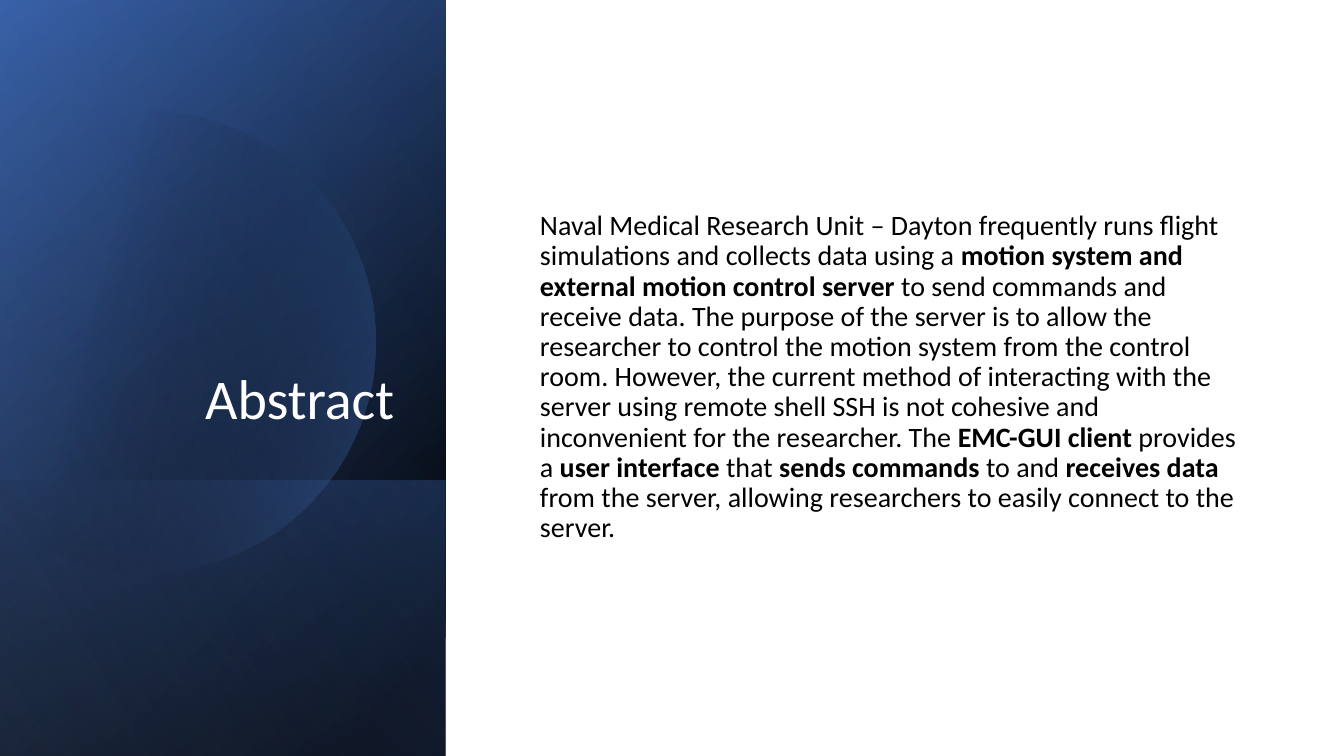
import math
from lxml import etree
from pptx import Presentation
from pptx.dml.color import RGBColor
from pptx.enum.shapes import MSO_SHAPE
from pptx.enum.text import MSO_ANCHOR, PP_ALIGN
from pptx.oxml.ns import qn
from pptx.util import Inches, Pt

RECT = MSO_SHAPE.RECTANGLE
BOTTOM, MIDDLE = MSO_ANCHOR.BOTTOM, MSO_ANCHOR.MIDDLE
LEFT, RIGHT = PP_ALIGN.LEFT, PP_ALIGN.RIGHT
FONT = "Calibri"
WIDTH, HEIGHT = 13.33, 7.5
COLORS = {
    "white": "FFFFFF",
    "black": "000000",
    "navy": "2F5597",
    "blue": "4472C4",
    "pale": "8FAADC",
}
ABSTRACT = [
    ("Naval Medical Research Unit – Dayton frequently runs flight simulations "
     "and collects data using a ", False),
    ("motion system and external motion control server ", True),
    ("to send commands and receive data. The purpose of the server is to allow "
     "the researcher to control the motion system from the control room. However, "
     "the current method of interacting with the server using remote shell SSH is "
     "not cohesive and inconvenient for the researcher. The ", False),
    ("EMC-GUI client ", True),
    ("provides a ", False),
    ("user interface ", True),
    ("that ", False),
    ("sends commands ", True),
    ("to and ", False),
    ("receives data ", True),
    ("from the server, allowing researchers to easily connect to the server.", False),
]


def rgb(name):
    return RGBColor.from_string(COLORS[name])


def finish(sp):
    sp.shadow.inherit = False
    sp.line.fill.background()


def fill_gradient(sp, stops, angle):
    finish(sp)
    sp.fill.background()
    grad = etree.Element(qn("a:gradFill"), rotWithShape="1")
    stop_list = etree.SubElement(grad, qn("a:gsLst"))
    for position, color, alpha in stops:
        stop = etree.SubElement(stop_list, qn("a:gs"), pos=str(position * 1000))
        clr = etree.SubElement(stop, qn("a:srgbClr"), val=COLORS[color])
        if alpha < 100:
            etree.SubElement(clr, qn("a:alpha"), val=str(alpha * 1000))
    etree.SubElement(grad, qn("a:lin"), ang=str(angle * 60000), scaled="0")
    props = sp._element.spPr
    props.replace(props.find(qn("a:noFill")), grad)


def add_turned_panel(slide, box, stops, angle):
    x, y, w, h = box
    frame = (x + (w - h) / 2, y + (h - w) / 2, h, w)
    sp = slide.shapes.add_shape(RECT, *map(Inches, frame))
    sp.rotation = 90
    sp._element.spPr.find(qn("a:xfrm")).set("flipH", "1")
    fill_gradient(sp, stops, angle)


def add_cut_disc(slide, box, stops, angle):
    x, y, w, h = box
    cx, cy, radius = x + 0.324 * w, y + 0.452 * h, 0.518 * w
    reach = math.acos((x - cx) / radius)
    steps = 120
    angles = [reach * (2 * i / steps - 1) for i in range(steps + 1)]
    points = [(Inches(cx + radius * math.cos(a)), Inches(cy + radius * math.sin(a)))
              for a in angles]
    builder = slide.shapes.build_freeform(*points[0])
    builder.add_line_segments(points[1:], close=True)
    fill_gradient(builder.convert_to_shape(), stops, angle)


def add_text(slide, box, runs, size, color, anchor, align, before=0):
    tf = slide.shapes.add_textbox(*map(Inches, box)).text_frame
    tf.word_wrap = True
    tf.vertical_anchor = anchor
    p = tf.paragraphs[0]
    p.alignment = align
    p.line_spacing = 0.9
    p.space_before = Pt(before)
    for text, bold in runs:
        r = p.add_run()
        r.text = text
        r.font.name = FONT
        r.font.size = Pt(size)
        r.font.bold = bold
        r.font.color.rgb = rgb(color)


def add_backdrop(slide, box):
    sp = slide.shapes.add_shape(RECT, *map(Inches, box))
    finish(sp)
    sp.fill.solid()
    sp.fill.fore_color.rgb = rgb("white")


def add_title_panel(slide, box):
    x, y, w, h = box
    foot = 0.365 * h
    add_turned_panel(slide, box, [(8, "black", 100), (100, "navy", 100)], 50)
    add_turned_panel(slide, box, [(0, "black", 0), (99, "blue", 46)], 30)
    add_turned_panel(slide, (x, y + h - foot, w, foot),
                     [(2, "blue", 29), (100, "black", 30)], 130)
    add_cut_disc(slide, box, [(29, "black", 0), (100, "blue", 43)], 14)
    add_turned_panel(slide, box, [(0, "black", 0), (99, "pale", 11)], 120)
    title_box = (x + 0.115 * w, y + 0.085 * h, 0.792 * w, 0.493 * h)
    add_text(slide, title_box, [("Abstract", False)], 40, "white", BOTTOM, RIGHT)


def add_abstract(slide, box):
    x, y, w, h = box
    body_box = (x + 0.094 * w, y + 0.095 * h, 0.805 * w, 0.809 * h)
    add_text(slide, body_box, ABSTRACT, 20, "black", MIDDLE, LEFT, 10)


def main():
    prs = Presentation()
    prs.slide_width, prs.slide_height = Inches(WIDTH), Inches(HEIGHT)
    slide = prs.slides.add_slide(prs.slide_layouts[6])
    panel = 4.42
    add_backdrop(slide, (0, 0, WIDTH, HEIGHT))
    add_title_panel(slide, (0, 0, panel, HEIGHT))
    add_abstract(slide, (panel, 0, WIDTH - panel, HEIGHT))
    prs.save("out.pptx")


if __name__ == "__main__":
    main()
